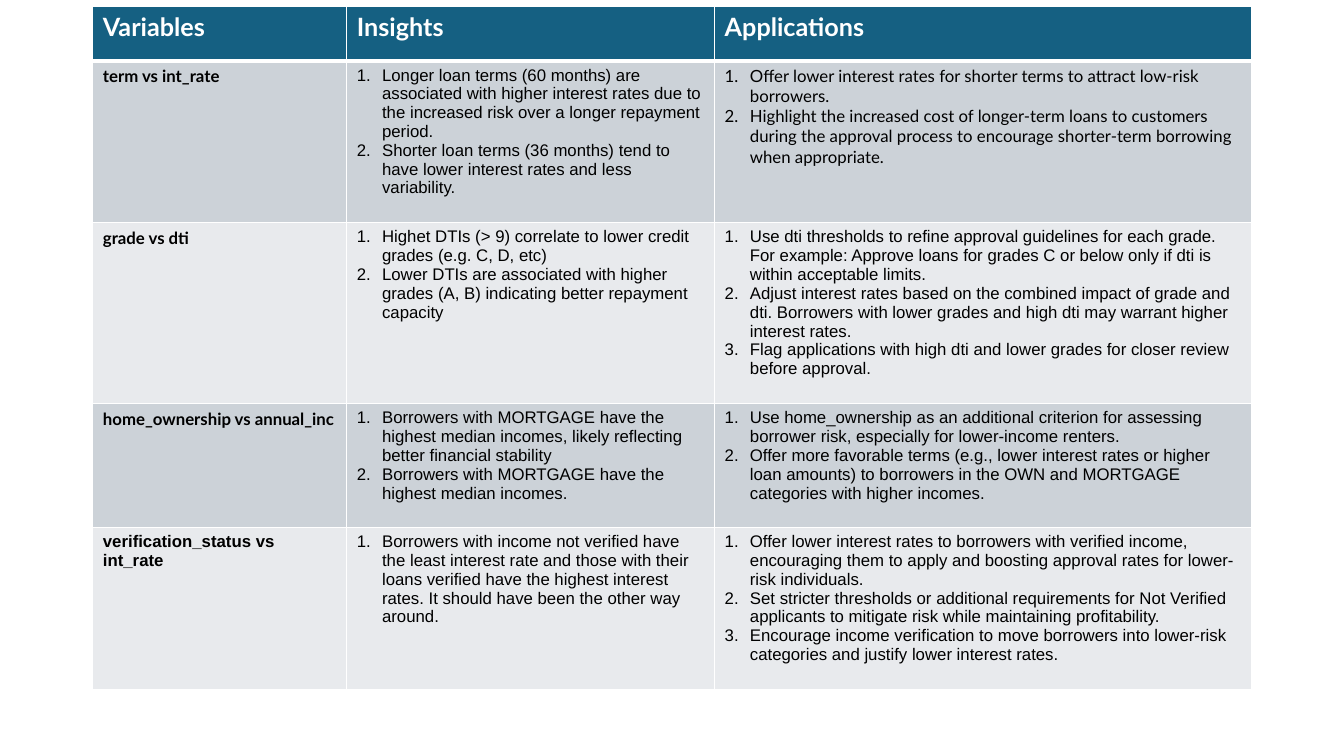
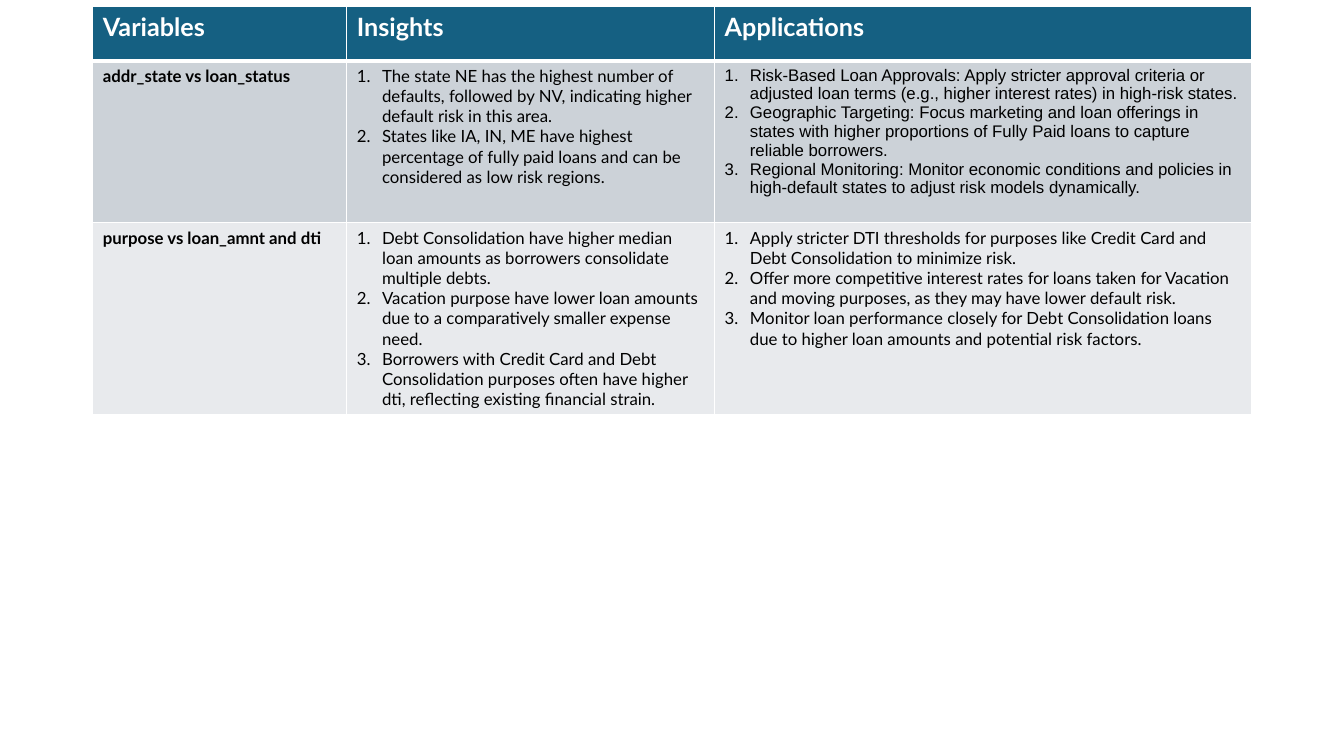
from dataclasses import dataclass

from lxml import etree
from pptx import Presentation
from pptx.dml.color import RGBColor
from pptx.oxml.ns import qn
from pptx.slide import Slide
from pptx.table import _Cell
from pptx.text.text import _Paragraph
from pptx.util import Cm, Pt

HEADER_BLUE = "156082"
BAND_FILLS = ("CCD2D8", "E8EAED")
WHITE = "FFFFFF"
BLACK = "000000"
LATO = "Lato"
ARIAL = "Arial"

HEADINGS = ("Variables", "Insights", "Applications")
COLUMN_WIDTHS = (6.4, 9.27, 13.54)
HEADER_HEIGHT = 1.36
TABLE_LEFT = 2.34
TABLE_TOP = 0.17
NUMBER_INDENT = Cm(0.635)
THIN_BORDER = Pt(1)
THICK_BORDER = Pt(3)


@dataclass(frozen=True)
class TextStyle:
    font: str
    size: int
    color: str
    bold: bool = False
    numbered: bool = False


@dataclass(frozen=True)
class NumberedList:
    font: str
    items: tuple[str, ...]


@dataclass(frozen=True)
class Finding:
    variables: str
    insights: NumberedList
    applications: NumberedList
    height: float
    variables_font: str = LATO


LOAN_FINDINGS = (
    Finding(
        "term vs int_rate",
        NumberedList(ARIAL, (
            "Longer loan terms (60 months) are associated with higher interest rates due to "
            "the increased risk over a longer repayment period.",
            "Shorter loan terms (36 months) tend to have lower interest rates and less variability.",
        )),
        NumberedList(LATO, (
            "Offer lower interest rates for shorter terms to attract low-risk borrowers.",
            "Highlight the increased cost of longer-term loans to customers during the approval "
            "process to encourage shorter-term borrowing when appropriate.",
        )),
        4.08,
    ),
    Finding(
        "grade vs dti",
        NumberedList(ARIAL, (
            "Highet DTIs (> 9) correlate to lower credit grades (e.g. C, D, etc)",
            "Lower DTIs are associated with higher grades (A, B) indicating better repayment capacity",
        )),
        NumberedList(ARIAL, (
            "Use dti thresholds to refine approval guidelines for each grade. For example: "
            "Approve loans for grades C or below only if dti is within acceptable limits.",
            "Adjust interest rates based on the combined impact of grade and dti. Borrowers with "
            "lower grades and high dti may warrant higher interest rates.",
            "Flag applications with high dti and lower grades for closer review before approval.",
        )),
        4.56,
    ),
    Finding(
        "home_ownership vs annual_inc",
        NumberedList(ARIAL, (
            "Borrowers with MORTGAGE have the highest median incomes, likely reflecting better "
            "financial stability",
            "Borrowers with MORTGAGE have the highest median incomes.",
        )),
        NumberedList(ARIAL, (
            "Use home_ownership as an additional criterion for assessing borrower risk, "
            "especially for lower-income renters.",
            "Offer more favorable terms (e.g., lower interest rates or higher loan amounts) to "
            "borrowers in the OWN and MORTGAGE categories with higher incomes.",
        )),
        3.12,
    ),
    Finding(
        "verification_status vs int_rate",
        NumberedList(ARIAL, (
            "Borrowers with income not verified have the least interest rate and those with their "
            "loans verified have the highest interest rates. It should have been the other way around.",
        )),
        NumberedList(ARIAL, (
            "Offer lower interest rates to borrowers with verified income, encouraging them to "
            "apply and boosting approval rates for lower-risk individuals.",
            "Set stricter thresholds or additional requirements for Not Verified applicants to "
            "mitigate risk while maintaining profitability.",
            "Encourage income verification to move borrowers into lower-risk categories and "
            "justify lower interest rates.",
        )),
        4.08,
        ARIAL,
    ),
)

REGION_FINDINGS = (
    Finding(
        "addr_state vs loan_status",
        NumberedList(LATO, (
            "The state NE has the highest number of defaults, followed by NV, indicating higher "
            "default risk in this area.",
            "States like IA, IN, ME have highest percentage of fully paid loans and can be "
            "considered as low risk regions.",
        )),
        NumberedList(ARIAL, (
            "Risk-Based Loan Approvals: Apply stricter approval criteria or adjusted loan terms "
            "(e.g., higher interest rates) in high-risk states.",
            "Geographic Targeting: Focus marketing and loan offerings in states with higher "
            "proportions of Fully Paid loans to capture reliable borrowers.",
            "Regional Monitoring: Monitor economic conditions and policies in high-default states "
            "to adjust risk models dynamically.",
        )),
        4.08,
    ),
    Finding(
        "purpose vs loan_amnt and dti",
        NumberedList(LATO, (
            "Debt Consolidation have higher median loan amounts as borrowers consolidate multiple debts.",
            "Vacation purpose have lower loan amounts due to a comparatively smaller expense need.",
            "Borrowers with Credit Card and Debt Consolidation purposes often have higher dti, "
            "reflecting existing financial strain.",
        )),
        NumberedList(LATO, (
            "Apply stricter DTI thresholds for purposes like Credit Card and Debt Consolidation "
            "to minimize risk.",
            "Offer more competitive interest rates for loans taken for Vacation and moving "
            "purposes, as they may have lower default risk.",
            "Monitor loan performance closely for Debt Consolidation loans due to higher loan "
            "amounts and potential risk factors.",
        )),
        4.81,
    ),
)


def rgb(color: str) -> RGBColor:
    """Return the colour for a hex string."""
    return RGBColor.from_string(color)


def number_paragraph(paragraph: _Paragraph) -> None:
    """Give a paragraph automatic numbering and a hanging indent."""
    properties = paragraph._p.get_or_add_pPr()
    properties.set("marL", str(NUMBER_INDENT))
    properties.set("indent", str(-NUMBER_INDENT))
    etree.SubElement(properties, qn("a:buAutoNum"), type="arabicPeriod")


def set_borders(cell: _Cell, top: int, bottom: int) -> None:
    """Draw white borders around a cell."""
    properties = cell._tc.get_or_add_tcPr()
    widths = {"lnL": THIN_BORDER, "lnR": THIN_BORDER, "lnT": top, "lnB": bottom}
    for position, (side, width) in enumerate(widths.items()):
        line = etree.Element(qn(f"a:{side}"), w=str(width))
        fill = etree.SubElement(line, qn("a:solidFill"))
        etree.SubElement(fill, qn("a:srgbClr"), val=WHITE)
        properties.insert(position, line)


def fill_cell(cell: _Cell, lines: tuple[str, ...], style: TextStyle, fill: str) -> None:
    """Write styled lines into a cell and colour its background."""
    cell.fill.solid()
    cell.fill.fore_color.rgb = rgb(fill)
    font_values = {"name": style.font, "size": Pt(style.size), "bold": style.bold}
    frame = cell.text_frame
    for index, line in enumerate(lines):
        paragraph = frame.add_paragraph() if index else frame.paragraphs[0]
        if style.numbered:
            number_paragraph(paragraph)
        run = paragraph.add_run()
        run.text = line
        for name, value in font_values.items():
            setattr(run.font, name, value)
        run.font.color.rgb = rgb(style.color)


def add_findings_table(slide: Slide, findings: tuple[Finding, ...]) -> None:
    """Add the table of variables, insights and applications."""
    heights = (HEADER_HEIGHT, *(finding.height for finding in findings))
    table = slide.shapes.add_table(
        len(heights), len(HEADINGS), Cm(TABLE_LEFT), Cm(TABLE_TOP),
        Cm(sum(COLUMN_WIDTHS)), Cm(sum(heights)),
    ).table
    table.horz_banding = False
    for column, width in zip(table.columns, COLUMN_WIDTHS):
        column.width = Cm(width)
    for row, height in zip(table.rows, heights):
        row.height = Cm(height)

    heading_style = TextStyle(LATO, 18, WHITE, bold=True)
    for column_index, heading in enumerate(HEADINGS):
        cell = table.cell(0, column_index)
        fill_cell(cell, (heading,), heading_style, HEADER_BLUE)
        set_borders(cell, THIN_BORDER, THICK_BORDER)

    for row_index, finding in enumerate(findings, start=1):
        fill = BAND_FILLS[(row_index - 1) % len(BAND_FILLS)]
        label_style = TextStyle(finding.variables_font, 12, BLACK, bold=True)
        fill_cell(table.cell(row_index, 0), (finding.variables,), label_style, fill)
        for column_index, content in enumerate((finding.insights, finding.applications), start=1):
            list_style = TextStyle(content.font, 12, BLACK, numbered=True)
            fill_cell(table.cell(row_index, column_index), content.items, list_style, fill)
        top = THICK_BORDER if row_index == 1 else THIN_BORDER
        for cell in table.rows[row_index].cells:
            set_borders(cell, top, THIN_BORDER)


def main() -> None:
    """Build and save the presentation."""
    presentation = Presentation()
    presentation.slide_width = Cm(33.87)
    presentation.slide_height = Cm(19.05)
    blank_layout = presentation.slide_layouts.get_by_name("Blank")
    for findings in (LOAN_FINDINGS, REGION_FINDINGS):
        add_findings_table(presentation.slides.add_slide(blank_layout), findings)
    presentation.save("out.pptx")


if __name__ == "__main__":
    main()
